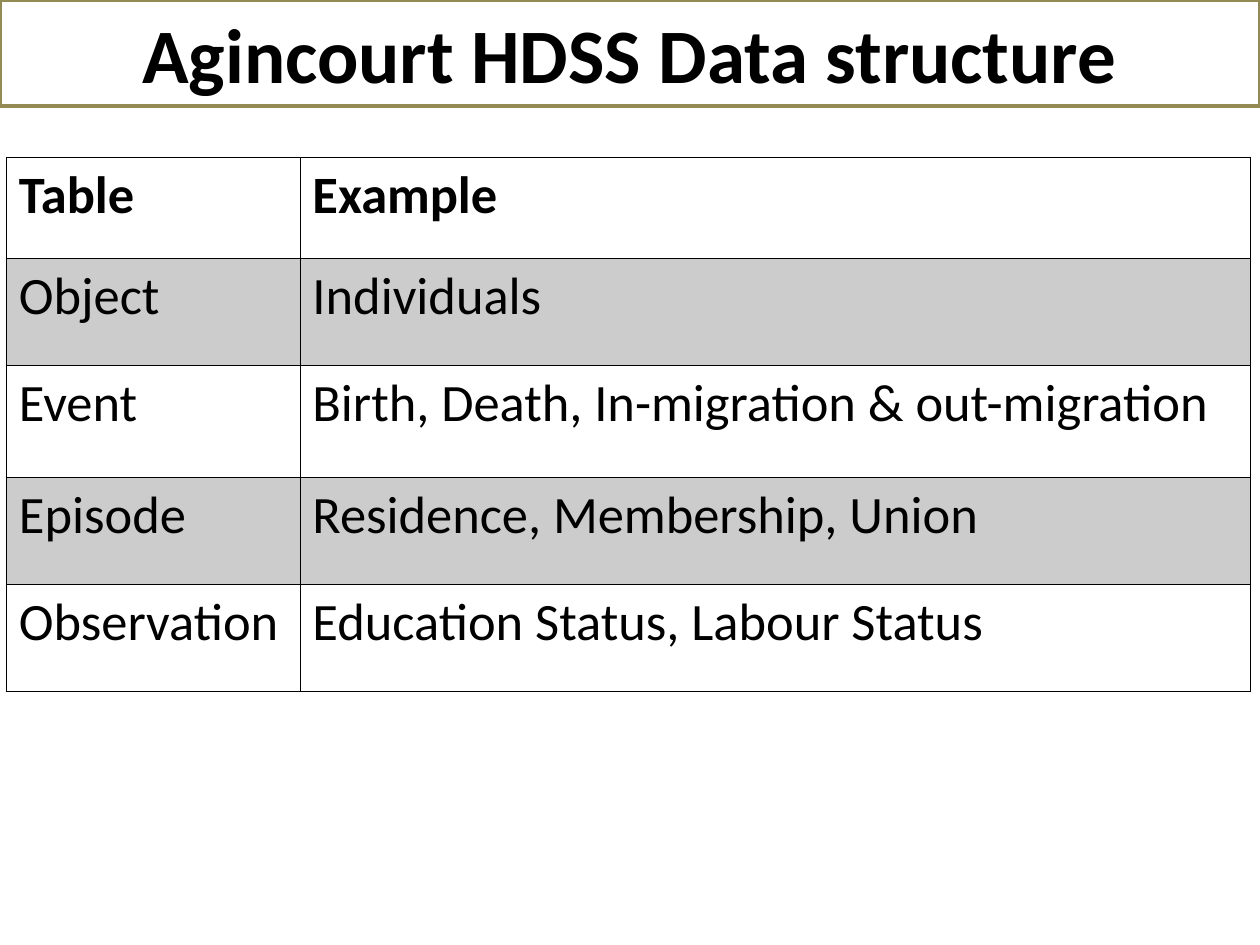
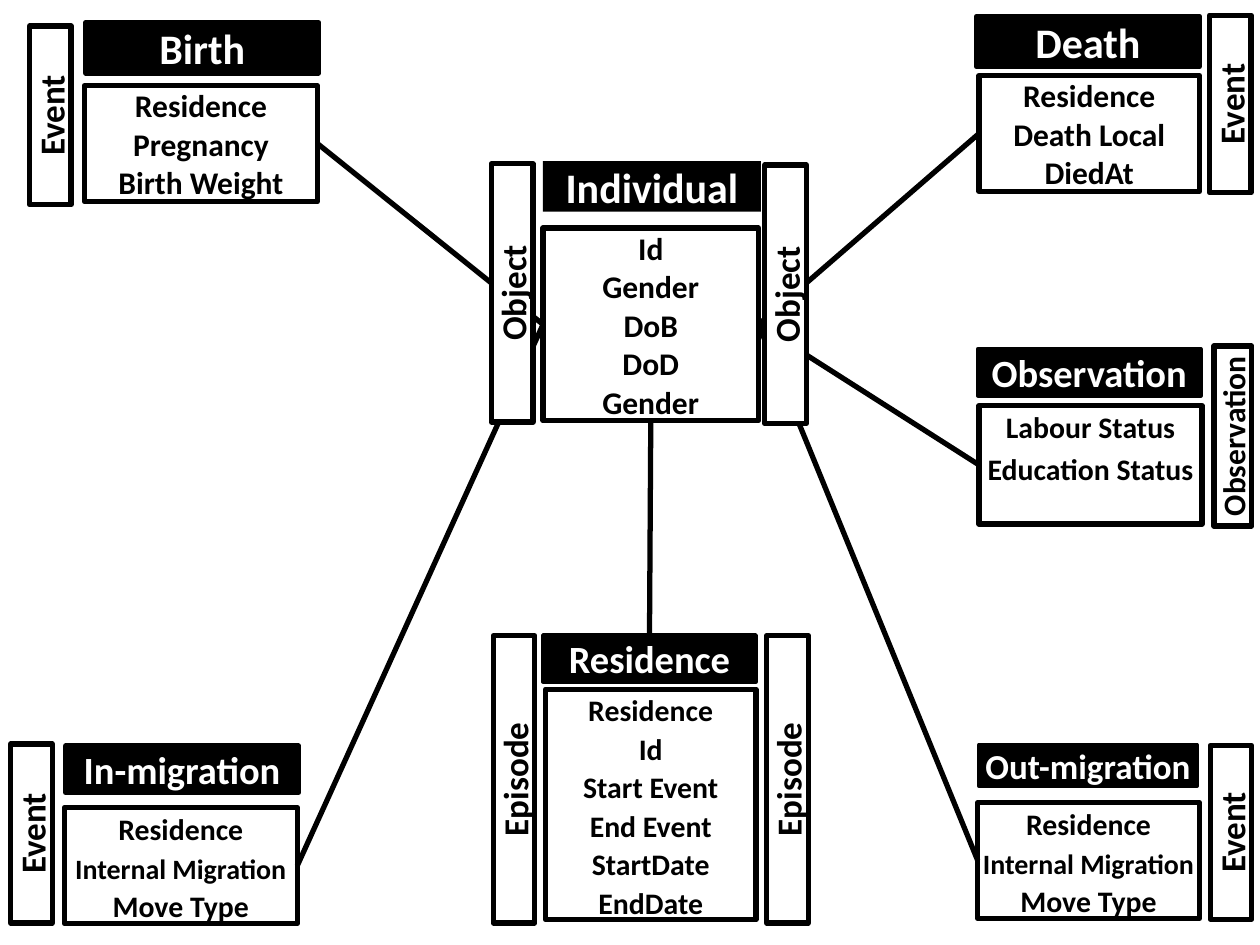
"""Builds two slides on the Agincourt HDSS data: its table types and its entity diagram."""
from lxml import etree
from pptx import Presentation, util as u
from pptx.dml.color import RGBColor
from pptx.enum import shapes, text
from pptx.oxml.ns import qn

BLACK = RGBColor(0, 0, 0)
WHITE = RGBColor(255, 255, 255)
OLIVE = RGBColor(0x94, 0x8A, 0x54)
FONT = "Calibri"
COLUMNS, ROWS = 100, 75

HEADING = "Agincourt HDSS Data structure"
TABLE_TYPES = [
    ("Table", "Example"),
    ("Object", "Individuals"),
    ("Event", "Birth, Death, In-migration & out-migration"),
    ("Episode", "Residence, Membership, Union"),
    ("Observation", "Education Status, Labour Status"),
]
TYPE_COLUMNS = (23.3, 75.4)
TYPE_ROWS = (8, 8.5, 8.9, 8.5, 8.5)

MIGRATION_FIELDS = [("Residence", 17), ("Internal Migration", 16), ("Move Type", 17)]
ENTITIES = {
    "Individual": dict(
        band=(43.1, 12.8, 17.3, 4), size=24, border=0, box=(43.1, 18.1, 17.1, 15.3),
        fields=[(name, 18) for name in ("Id", "Gender", "DoB", "DoD", "Gender")]),
    "Birth": dict(
        band=(6.8, 1.8, 18.5, 4), size=24, border=3, box=(6.7, 6.8, 18.5, 9.2),
        fields=[(name, 18) for name in ("Residence", "Pregnancy", "Birth Weight")]),
    "In-migration": dict(
        band=(5.2, 59.2, 18.5, 3.7), size=22, border=3, box=(5.1, 64.1, 18.5, 9.2),
        fields=MIGRATION_FIELDS),
    "Death": dict(
        band=(77.5, 1.3, 17.7, 4), size=24, border=3, box=(77.7, 6, 17.5, 9.2),
        fields=[(name, 18) for name in ("Residence", "Death Local", "DiedAt")]),
    "Out-migration": dict(
        band=(77.7, 59.1, 17.3, 3.3), size=20, border=2.25, box=(77.6, 63.7, 17.6, 9.2),
        fields=MIGRATION_FIELDS),
    "Residence": dict(
        band=(43.1, 50.4, 16.9, 3.7), size=22, border=2.25, box=(43.3, 54.7, 16.7, 18.3),
        fields=[(name, 17) for name in
                ("Residence", "Id", "Start Event", "End Event", "StartDate", "EndDate")]),
    "Observation": dict(
        band=(77.6, 27.7, 17.7, 3.7), size=22, border=2.25, box=(77.7, 32.2, 17.7, 9.4),
        fields=[("Labour Status", 17), ("Education Status", 17)], pitches=(22, 24)),
}
LINKS = [("Birth", 3, 1), ("In-migration", 3, 1), ("Death", 1, 3),
         ("Observation", 1, 3), ("Out-migration", 1, 3)]
STRIPS = [
    ("Event", 4, 9.15, 14.2, 3.3, 20),
    ("Event", 2.5, 66.15, 14.2, 3.3, 20),
    ("Event", 97.7, 66.05, 13.8, 3.3, 20),
    ("Episode", 40.8, 61.85, 22.8, 3.3, 20),
    ("Episode", 62.5, 61.85, 22.8, 3.3, 20),
    ("Object", 40.65, 23.25, 20.5, 3.3, 20),
    ("Object", 62.35, 23.35, 20.5, 3.3, 20),
    ("Event", 97.65, 8.25, 14.1, 3.3, 20),
    ("Observation", 97.85, 34.6, 14.3, 3, 18),
]

deck = Presentation()
deck.slide_width, deck.slide_height = u.Inches(10), u.Inches(7.5)
COLUMN, ROW = deck.slide_width / COLUMNS, deck.slide_height / ROWS


def place(left, top, width, height):
    return [round(n * step) for n, step in
            zip((left, top, width, height), (COLUMN, ROW, COLUMN, ROW))]


def write(frame, lines, color=BLACK, bold=True, align=None, pitches=None):
    for i, (words, size) in enumerate(lines):
        paragraph = frame.paragraphs[0] if i == 0 else frame.add_paragraph()
        paragraph.alignment = align
        if pitches:
            paragraph.line_spacing = u.Pt(pitches[i])
        run = paragraph.add_run()
        run.text = words
        run.font.name, run.font.size = FONT, u.Pt(size)
        run.font.bold, run.font.color.rgb = bold, color


def add_box(slide, area, lines, fill=None, line=BLACK, border=3, inset=(0, 0), **style):
    box = slide.shapes.add_shape(shapes.MSO_SHAPE.RECTANGLE, *place(*area))
    box.shadow.inherit = False
    if fill is None:
        box.fill.background()
    else:
        box.fill.solid()
        box.fill.fore_color.rgb = fill
    if border:
        box.line.color.rgb, box.line.width = line, u.Pt(border)
    else:
        box.line.fill.background()
    frame = box.text_frame
    frame.word_wrap = True
    frame.vertical_anchor = text.MSO_ANCHOR.TOP
    frame.margin_left = frame.margin_right = u.Inches(inset[0])
    frame.margin_top = frame.margin_bottom = u.Inches(inset[1])
    write(frame, lines, align=text.PP_ALIGN.CENTER, **style)
    return box


def add_link(slide, start, start_side, end, end_side):
    link = slide.shapes.add_connector(shapes.MSO_CONNECTOR.STRAIGHT, 0, 0, 0, 0)
    link.begin_connect(start, start_side)
    link.end_connect(end, end_side)
    link.line.color.rgb, link.line.width = BLACK, u.Pt(3)
    etree.SubElement(link._element.spPr, qn("a:effectLst"))


def rule_cell(cell, row):
    properties = cell._tc.get_or_add_tcPr()
    heavy = {0: "lnB", 1: "lnT"}.get(row)
    for edge in ("lnL", "lnR", "lnT", "lnB"):
        width = u.Pt(0.96 if edge == heavy else 0.45)
        ink = etree.SubElement(properties, qn("a:" + edge), w=str(int(width)))
        solid = etree.SubElement(ink, qn("a:solidFill"))
        etree.SubElement(solid, qn("a:srgbClr"), val=str(BLACK))


def shade_cell(cell, row):
    if row % 2 == 0:
        cell.fill.background()
        return
    cell.fill.solid()
    cell.fill.fore_color.rgb = BLACK
    tint = cell._tc.tcPr.find(qn("a:solidFill")).find(qn("a:srgbClr"))
    etree.SubElement(tint, qn("a:alpha"), val="20000")


def build_structure(slide):
    add_box(slide, (0, 0, COLUMNS, 8.4), [(HEADING, 44)], line=OLIVE, border=2.25,
            inset=(0.1, 0.05))
    area = place(0.5, 12.5, sum(TYPE_COLUMNS), sum(TYPE_ROWS))
    types = slide.shapes.add_table(len(TYPE_ROWS), len(TYPE_COLUMNS), *area).table
    types.first_row = types.horz_banding = False
    for column, share in zip(types.columns, TYPE_COLUMNS):
        column.width = round(share * COLUMN)
    for r, entries in enumerate(TABLE_TYPES):
        types.rows[r].height = round(TYPE_ROWS[r] * ROW)
        for c, entry in enumerate(entries):
            cell = types.cell(r, c)
            rule_cell(cell, r)
            shade_cell(cell, r)
            write(cell.text_frame, [(entry, 30)], bold=r == 0)


def build_diagram(slide):
    bands, boxes = {}, {}
    for name, entity in ENTITIES.items():
        fields = entity["fields"]
        bands[name] = add_box(slide, entity["band"], [(name, entity["size"])], fill=BLACK,
                              border=entity["border"], color=WHITE)
        boxes[name] = add_box(slide, entity["box"], fields,
                              pitches=entity.get("pitches", [22] * len(fields)))
    hub = boxes["Individual"]
    for name, side, hub_side in LINKS:
        add_link(slide, boxes[name], side, hub, hub_side)
    add_link(slide, hub, 2, bands["Residence"], 0)
    for label, middle_x, middle_y, length, thickness, size in STRIPS:
        area = (middle_x - length / 2, middle_y - thickness / 2, length, thickness)
        strip = add_box(slide, area, [(label, size)],
                        fill=WHITE if label == "Object" else None)
        strip.rotation = 270


def main():
    for build in (build_structure, build_diagram):
        build(deck.slides.add_slide(deck.slide_layouts[6]))
    deck.save("out.pptx")


if __name__ == "__main__":
    main()
